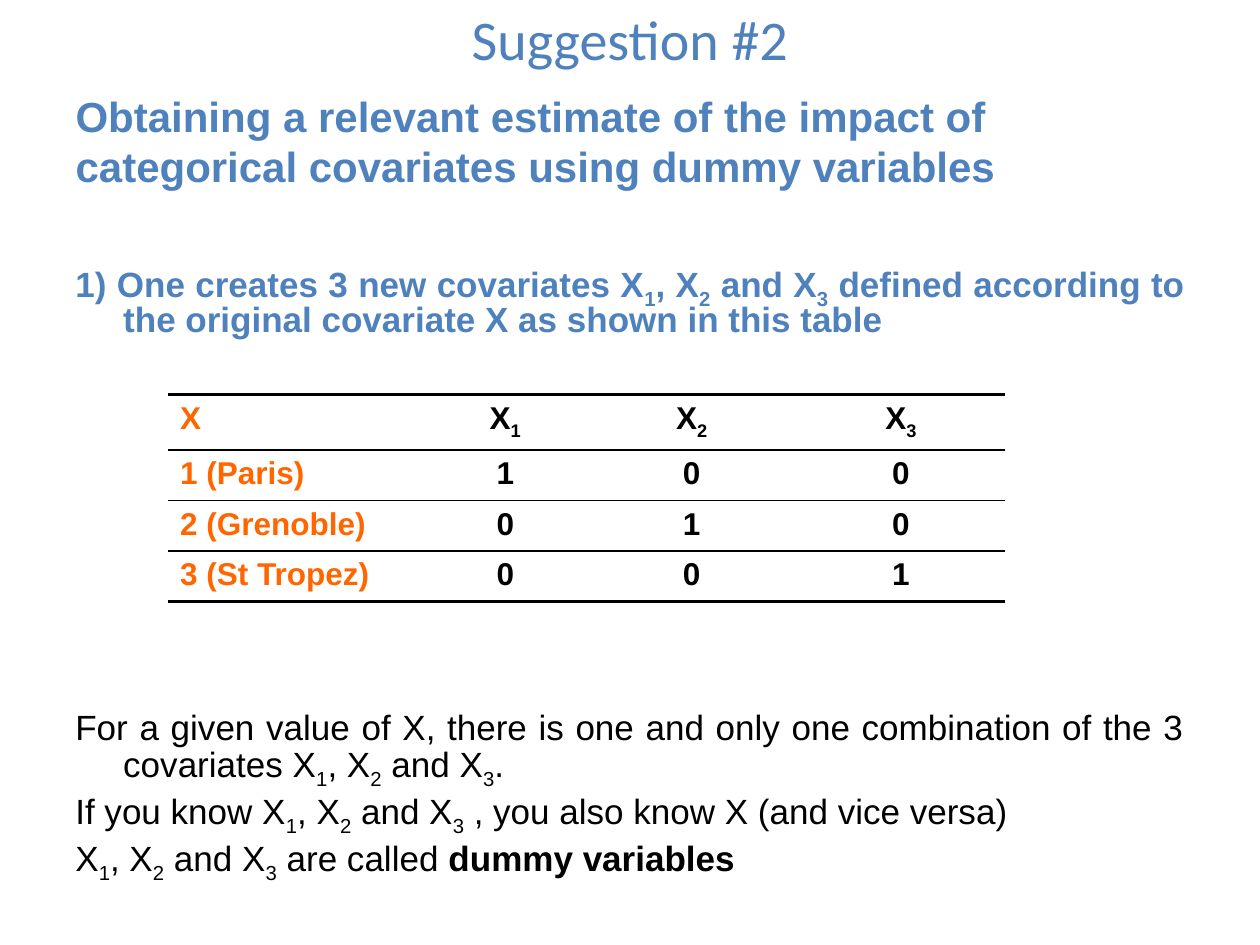
import dataclasses

import pptx
import pptx.dml.color
import pptx.enum.text
import pptx.oxml.ns
import pptx.util
from lxml import etree

ALIGN = pptx.enum.text.PP_ALIGN
ANCHOR = pptx.enum.text.MSO_ANCHOR


@dataclasses.dataclass(frozen=True)
class Theme:
    accent: str = "4F81BD"
    category: str = "FF6600"
    ink: str = "000000"
    heading_font: str = "Calibri"
    text_font: str = "Arial"
    heading_size: int = 32
    title_size: int = 24
    body_size: int = 20
    table_size: int = 18
    thick_line: float = 2.25
    thin_line: float = 1


THEME = Theme()
WIDTH, HEIGHT = 10, 7.5
MARGIN = 0.05 * WIDTH
CONTENT_WIDTH = WIDTH - 2 * MARGIN
COLUMN_WIDTHS = (2.03, 1.3, 1.66, 1.66)
ROW_HEIGHT = 0.4
CATEGORIES = ("1 (Paris)", "2 (Grenoble)", "3 (St Tropez)")


def inches(*lengths):
    return [pptx.util.Inches(length) for length in lengths]


def add_text(paragraph, text, size=THEME.body_size, color=THEME.ink,
             font=THEME.text_font, bold=False, align=None):
    if align is not None:
        paragraph.alignment = align
    first, *indexed = text.split("_")
    pieces = [(first, False)]
    for part in indexed:
        pieces += [(part[0], True), (part[1:], False)]
    for piece, subscript in pieces:
        if not piece:
            continue
        run = paragraph.add_run()
        run.text = piece
        run.font.size = pptx.util.Pt(size)
        run.font.name = font
        run.font.bold = bold
        run.font.color.rgb = pptx.dml.color.RGBColor.from_string(color)
        if subscript:
            run.font._element.set("baseline", "-25000")


def add_title(slide):
    title = slide.shapes.title
    title.left, title.top, title.width, title.height = inches(MARGIN, 0.63, CONTENT_WIDTH, 0.97)
    frame = title.text_frame
    frame.auto_size = pptx.enum.text.MSO_AUTO_SIZE.NONE
    frame.vertical_anchor = ANCHOR.MIDDLE
    add_text(frame.paragraphs[0],
             "Obtaining a relevant estimate of the impact of categorical covariates using dummy variables",
             size=THEME.title_size, color=THEME.accent, bold=True, align=ALIGN.LEFT)


def add_box(slide, top, height):
    box = slide.shapes.add_textbox(*inches(MARGIN, top, CONTENT_WIDTH, height))
    box.text_frame.word_wrap = True
    return box.text_frame


def add_heading(slide):
    frame = add_box(slide, -0.03, 0.67)
    frame.vertical_anchor = ANCHOR.MIDDLE
    add_text(frame.paragraphs[0], "Suggestion #2", size=THEME.heading_size,
             color=THEME.accent, font=THEME.heading_font, align=ALIGN.CENTER)


def format_hanging(paragraph, space_before):
    properties = paragraph._p.get_or_add_pPr()
    indent = pptx.util.Inches(0.38)
    properties.set("marL", str(indent))
    properties.set("indent", str(-indent))
    paragraph.line_spacing = 0.8
    paragraph.space_before = pptx.util.Pt(space_before)


def add_body(slide):
    frame = add_box(slide, 1.62, 5.88)
    frame.margin_top = pptx.util.Inches(0.5)
    covariates = "X_1, X_2 and X_3"
    statements = (
        (f"1) One creates 3 new covariates {covariates} defined according to "
         "the original covariate X as shown in this table", 0, THEME.accent, True),
        ("For a given value of X, there is one and only one combination of the 3 "
         f"covariates {covariates}.", 214, THEME.ink, False),
        (f"If you know {covariates} , you also know X (and vice versa)", 5, THEME.ink, False),
        (f"{covariates} are called ", 5, THEME.ink, False),
    )
    for index, (text, space_before, color, bold) in enumerate(statements):
        paragraph = frame.add_paragraph() if index else frame.paragraphs[0]
        format_hanging(paragraph, space_before)
        add_text(paragraph, text, color=color, bold=bold, align=ALIGN.JUSTIFY)
    add_text(paragraph, "dummy variables", bold=True)


def set_border(cell, side, width):
    qualify = pptx.oxml.ns.qn
    line = etree.SubElement(cell._tc.get_or_add_tcPr(), qualify(f"a:ln{side}"))
    if not width:
        etree.SubElement(line, qualify("a:noFill"))
        return
    line.set("w", str(pptx.util.Pt(width)))
    fill = etree.SubElement(line, qualify("a:solidFill"))
    etree.SubElement(fill, qualify("a:srgbClr"), val=THEME.ink)


def add_coding_table(slide):
    rows = [["X", "X_1", "X_2", "X_3"]]
    for index, category in enumerate(CATEGORIES):
        rows.append([category] + [str(int(index == column)) for column in range(len(CATEGORIES))])
    frame = slide.shapes.add_table(len(rows), len(COLUMN_WIDTHS), *inches(
        1.33, 3.13, sum(COLUMN_WIDTHS), ROW_HEIGHT * len(rows)))
    table = frame.table
    table.first_row = table.horz_banding = False
    for column, width in zip(table.columns, COLUMN_WIDTHS):
        column.width = pptx.util.Inches(width)
    last = len(rows) - 1
    for row_index, row in enumerate(rows):
        for column_index, text in enumerate(row):
            cell = table.cell(row_index, column_index)
            top = THEME.thick_line if row_index == 0 else THEME.thin_line
            bottom = THEME.thick_line if row_index == last else THEME.thin_line
            for side, width in (("L", 0), ("R", 0), ("T", top), ("B", bottom)):
                set_border(cell, side, width)
            cell.fill.background()
            is_category = column_index == 0
            add_text(cell.text_frame.paragraphs[0], text, size=THEME.table_size, bold=True,
                     color=THEME.category if is_category else THEME.ink,
                     align=ALIGN.LEFT if is_category else ALIGN.CENTER)


def main():
    presentation = pptx.Presentation()
    presentation.slide_width, presentation.slide_height = inches(WIDTH, HEIGHT)
    slide = presentation.slides.add_slide(presentation.slide_layouts[5])
    add_title(slide)
    add_body(slide)
    add_coding_table(slide)
    add_heading(slide)
    presentation.save("out.pptx")


if __name__ == "__main__":
    main()
